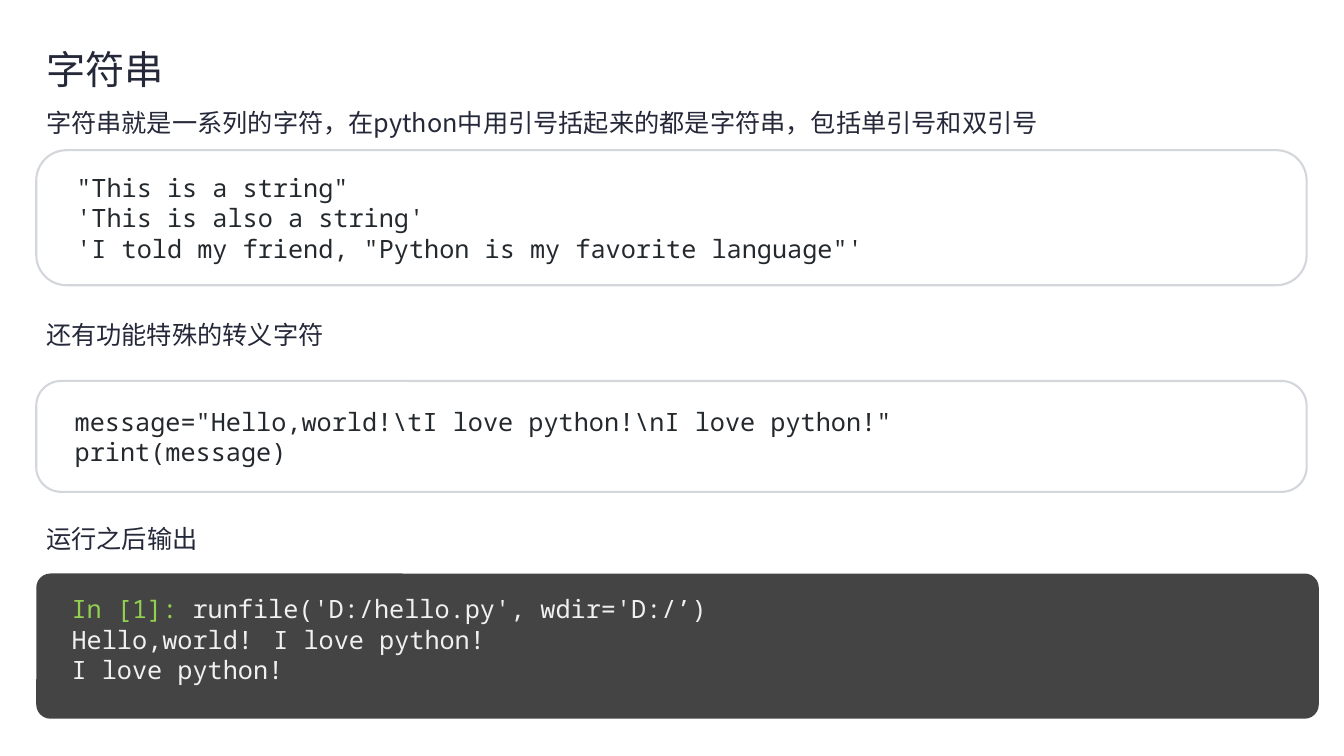
from pptx import Presentation
from pptx.dml.color import RGBColor
from pptx.enum.shapes import MSO_SHAPE
from pptx.enum.text import MSO_ANCHOR, PP_ALIGN
from pptx.oxml.ns import qn
from pptx.util import Inches, Pt
from lxml import etree

COLORS = {"ink": "252839", "code": "24292E", "edge": "D3D7DC", "white": "FFFFFF",
          "dark": "444444", "green": "92D050", "pale": "F0F0F0"}
SANS, MONO = "Noto Sans CJK SC", "Noto Sans Mono"
LEFT = 0.36

# Each line is a list of (text, colour) runs
HEAD = [("字符串", 28), ("字符串就是一系列的字符，在python中用引号括起来的都是字符串，包括单引号和双引号", 18)]
LABELS = [  # top, width, text
    (3.12, 2.97, "还有功能特殊的转义字符"),
    (5.14, 1.72, "运行之后输出"),
]
PANELS = [  # top, width, height, corner, fill, edge, anchor, lines
    (1.49, 12.6, 1.34, 0.224, "white", "edge", MSO_ANCHOR.MIDDLE, [
        [('"This is a string"', "code")],
        [("'This is also a string'", "code")],
        [("'I told my friend, \"Python is my favorite language\"'", "code")]]),
    (3.78, 12.6, 1.1, 0.224, "white", "edge", MSO_ANCHOR.MIDDLE, [
        [('message="Hello,world!\\tI love python!\\nI love python!"', "code")],
        [("print(message)", "code")]]),
    (5.69, 12.72, 1.44, 0.097, "dark", None, MSO_ANCHOR.TOP, [
        [("In [1]: ", "green"), ("runfile('D:/hello.py', wdir='D:/’)", "pale")],
        [("Hello,world!\tI love python!", "pale")],
        [("I love python!", "pale")]]),
]


def rgb(name):
    return RGBColor.from_string(COLORS[name])


def add_run(para, text, size, face, color):
    run = para.add_run()
    run.text = text
    font = run.font
    font.size, font.name = Pt(size), face
    font.color.rgb = rgb(color)
    etree.SubElement(run._r.get_or_add_rPr(), qn("a:ea")).set("typeface", face)


def next_para(frame, index):
    return frame.add_paragraph() if index else frame.paragraphs[0]


def add_box(slide, top, width, height, wrap):
    frame = slide.shapes.add_textbox(
        Inches(LEFT), Inches(top), Inches(width), Inches(height)).text_frame
    frame.word_wrap = wrap
    return frame


def add_panel(slide, top, width, height, corner, fill, edge, anchor, lines):
    panel = slide.shapes.add_shape(MSO_SHAPE.ROUNDED_RECTANGLE, Inches(LEFT),
                                   Inches(top), Inches(width), Inches(height))
    panel.adjustments[0] = corner
    panel.shadow.inherit = False
    panel.fill.solid()
    panel.fill.fore_color.rgb = rgb(fill)
    if edge:
        panel.line.color.rgb = rgb(edge)
        panel.line.width = Pt(1.5)
    else:
        panel.line.fill.background()
    frame = panel.text_frame
    frame.word_wrap = True
    frame.vertical_anchor = anchor
    frame.margin_left, frame.margin_right = Inches(0.31), Inches(0.24)
    frame.margin_top = frame.margin_bottom = Inches(0.16)
    for index, line in enumerate(lines):
        para = next_para(frame, index)
        para.alignment = PP_ALIGN.JUSTIFY
        for text, color in line:
            add_run(para, text, 18, MONO, color)


def main():
    deck = Presentation()
    deck.slide_width, deck.slide_height = Inches(13.33), Inches(7.5)
    slide = deck.slides.add_slide(deck.slide_layouts[6])

    # Title and introduction
    frame = add_box(slide, 0.31, 10.87, 1.09, True)
    for index, (text, size) in enumerate(HEAD):
        para = next_para(frame, index)
        para.line_spacing, para.space_after = 1.2, Pt(6)
        add_run(para, text, size, SANS, "ink")

    # Code and output panels
    for panel in PANELS:
        add_panel(slide, *panel)

    # Labels above the panels
    for top, width, text in LABELS:
        frame = add_box(slide, top, width, 0.4, False)
        add_run(frame.paragraphs[0], text, 18, SANS, "ink")

    deck.save("out.pptx")


if __name__ == "__main__":
    main()
